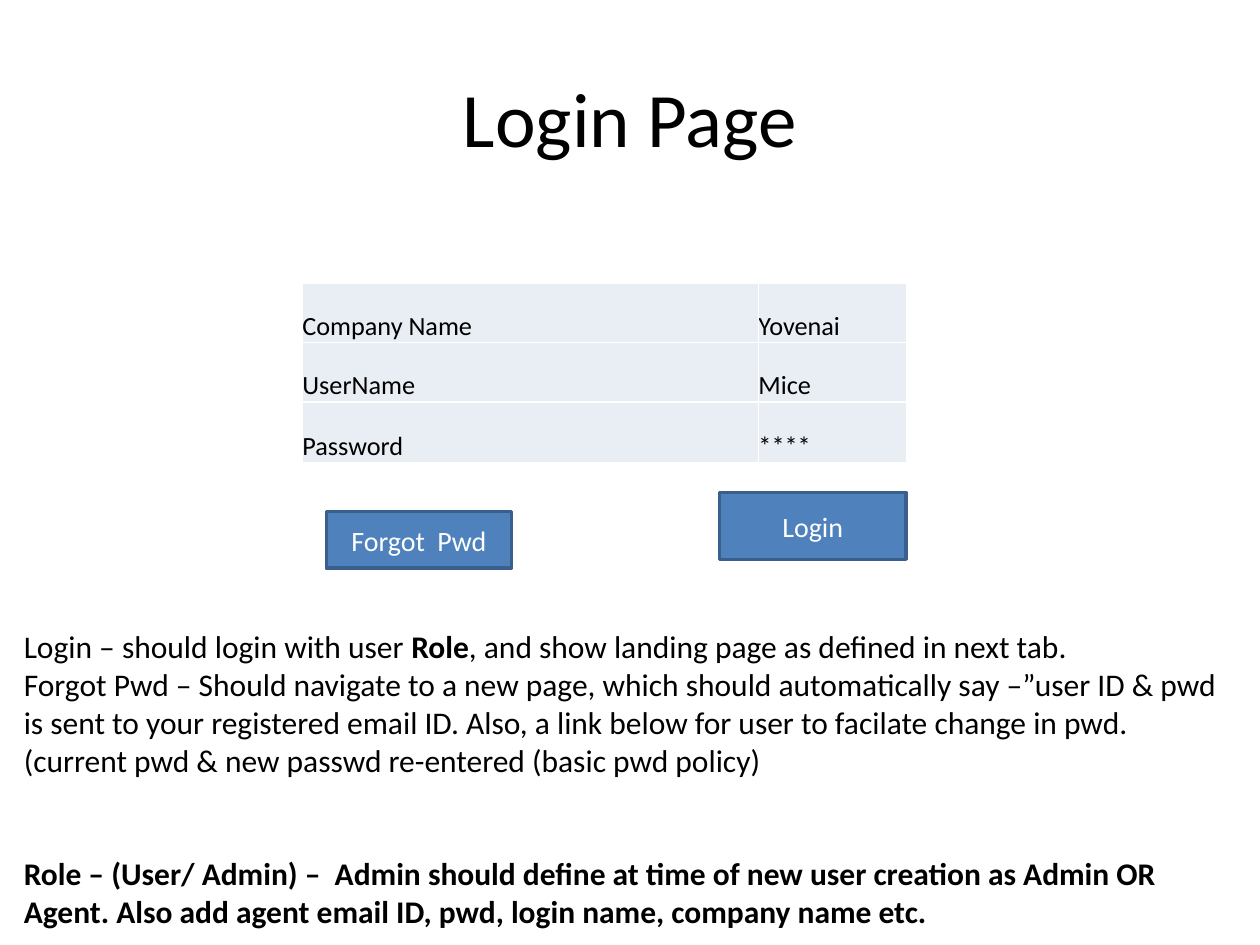
from dataclasses import dataclass

from lxml import etree
from pptx import Presentation
from pptx import util as u
from pptx.dml.color import RGBColor
from pptx.enum import shapes, text
from pptx.oxml import ns

PX = 9144  # EMU per px, 100 px to the inch


@dataclass(frozen=True)
class Theme:
    font: str = "Calibri"
    ink: str = "000000"
    paper: str = "FFFFFF"
    cell: str = "E9EDF4"
    button: str = "4F81BD"
    button_edge: str = "3A5F8C"
    title_size: int = 44
    body_size: int = 18
    button_size: int = 16
    cell_size: int = 15


class Page:
    def __init__(self, deck, theme):
        self.theme = theme
        self.slide = deck.slides.add_slide(deck.slide_layouts[6])

    def style(self, para, size, color, align=text.PP_ALIGN.LEFT, bold=False):
        para.alignment = align
        font = para.font
        font.name, font.size, font.bold = self.theme.font, u.Pt(size), bold
        font.color.rgb = RGBColor.from_string(color)

    def add_box(self, *place):
        box = self.slide.shapes.add_textbox(*(n * PX for n in place))
        box.text_frame.word_wrap = True
        return box.text_frame

    def title(self, words, *place):
        frame = self.add_box(*place)
        frame.vertical_anchor = text.MSO_ANCHOR.MIDDLE
        frame.text = words
        self.style(frame.paragraphs[0], self.theme.title_size,
                   self.theme.ink, text.PP_ALIGN.CENTER)

    def notes(self, entries, *place):
        """Each entry is (spans, bold, points before); a span is (words, bold)."""
        frame = self.add_box(*place)
        for index, (spans, bold, before) in enumerate(entries):
            para = frame.add_paragraph() if index else frame.paragraphs[0]
            self.style(para, self.theme.body_size, self.theme.ink, bold=bold)
            para.space_before = u.Pt(before)
            for words, strong in spans:
                span = para.add_run()
                span.text = words
                if strong != bold:
                    span.font.bold = strong

    def button(self, words, *place):
        box = self.slide.shapes.add_shape(
            shapes.MSO_SHAPE.RECTANGLE, *(n * PX for n in place))
        box.shadow.inherit = False
        box.fill.solid()
        box.fill.fore_color.rgb = RGBColor.from_string(self.theme.button)
        box.line.color.rgb = RGBColor.from_string(self.theme.button_edge)
        box.line.width = u.Pt(2)
        box.text_frame.vertical_anchor = text.MSO_ANCHOR.MIDDLE
        box.text_frame.text = words
        self.style(box.text_frame.paragraphs[0], self.theme.button_size,
                   self.theme.paper, text.PP_ALIGN.CENTER)

    def table(self, rows, left, top, widths, heights):
        table = self.slide.shapes.add_table(
            len(rows), len(widths), left * PX, top * PX,
            sum(widths) * PX, sum(heights) * PX).table
        table.first_row = table.horz_banding = False
        for column, width in zip(table.columns, widths):
            column.width = width * PX
        for row, height, values in zip(table.rows, heights, rows):
            row.height = height * PX
            for cell, words in zip(row.cells, values):
                self.fill_cell(cell, words)

    def fill_cell(self, cell, words):
        cell.text = words
        cell.vertical_anchor = text.MSO_ANCHOR.BOTTOM
        cell.margin_left = cell.margin_right = 0
        cell.margin_top = cell.margin_bottom = 0
        self.style(cell.text_frame.paragraphs[0],
                   self.theme.cell_size, self.theme.ink)
        # Borders come before the fill in the cell properties
        props = cell._tc.get_or_add_tcPr()
        for side in ("lnL", "lnR", "lnT", "lnB"):
            line = etree.SubElement(props, ns.qn(f"a:{side}"), w=str(u.Pt(1)))
            solid = etree.SubElement(line, ns.qn("a:solidFill"))
            etree.SubElement(solid, ns.qn("a:srgbClr"), val=self.theme.paper)
        cell.fill.solid()
        cell.fill.fore_color.rgb = RGBColor.from_string(self.theme.cell)


def main():
    deck = Presentation()
    deck.slide_width, deck.slide_height = 1000 * PX, 750 * PX
    page = Page(deck, Theme())

    # Heading
    page.title("Login Page", 50, 30, 900, 125)

    # Login form
    page.table([("Company Name", "Yovenai"),
                ("UserName", "Mice"),
                ("Password", "****")],
               240, 225, widths=(362, 118), heights=(47, 47, 48))

    # Explanation, with a gap of two lines before the role
    page.notes([
        ([("Login – should login with user ", False), ("Role", True),
          (", and show landing page as defined in next tab.", False)], False, 0),
        ([("Forgot Pwd – Should navigate to a new page, which should "
           "automatically say –”user ID & pwd is sent to your registered "
           "email ID. Also, a link below for user to facilate change in pwd. "
           "(current pwd & new passwd re-entered (basic pwd policy)", False)],
         False, 0),
        ([("Role – (User/ Admin) –  Admin should define at time of new user "
           "creation as Admin OR Agent. Also add agent email ID, pwd, login "
           "name, company name etc.", True)], True, 43),
    ], 9, 493, 969, 252)

    # Buttons
    page.button("Forgot  Pwd", 259, 406, 147, 45)
    page.button("Login", 571, 391, 148, 53)

    deck.save("out.pptx")


if __name__ == "__main__":
    main()
